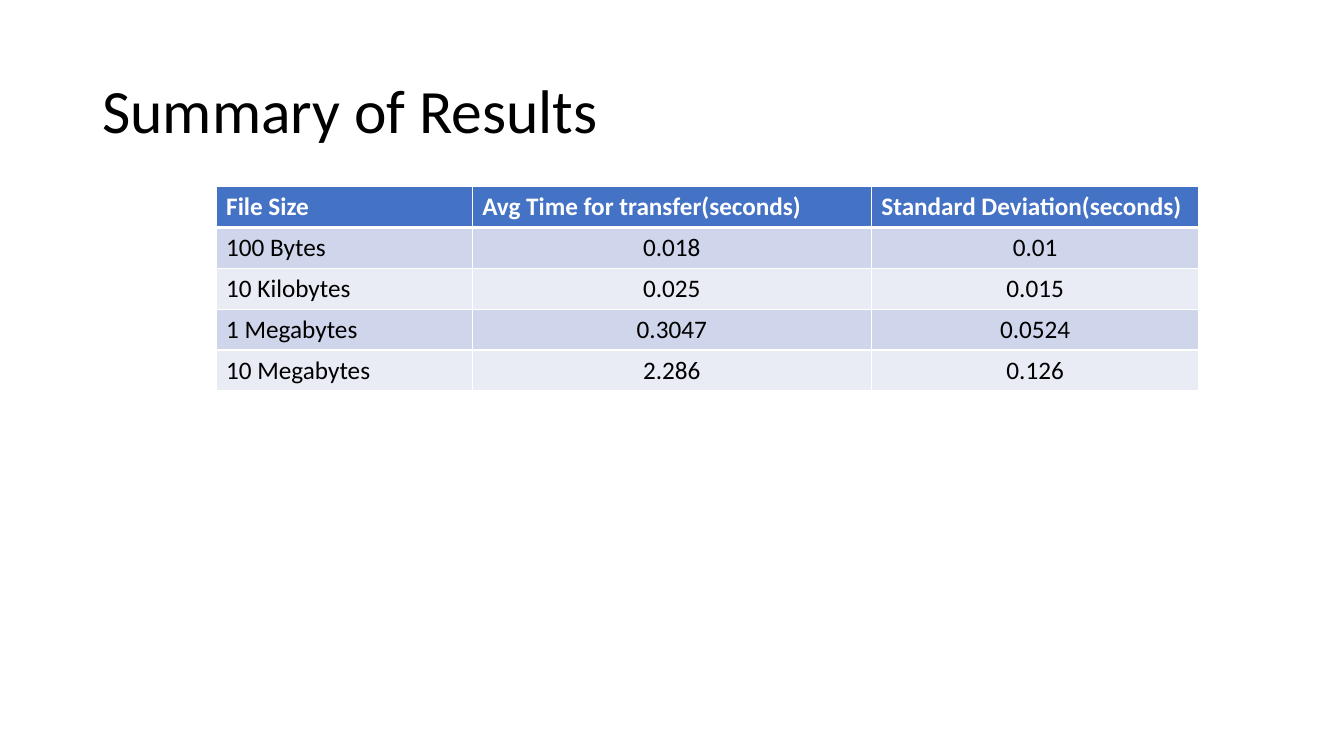
from lxml.etree import SubElement
from pptx import Presentation
from pptx.dml.color import RGBColor
from pptx.enum.text import MSO_ANCHOR as Anchor, PP_ALIGN as Align
from pptx.oxml.ns import qn
from pptx.util import Pt

COLORS = {
    "header": "4472C4",
    "odd_row": "CFD5EA",
    "even_row": "E9EBF5",
    "white": "FFFFFF",
    "black": "000000",
}
FONT = "Calibri"
RESULTS = [
    ("File Size", "Avg Time for transfer(seconds)", "Standard Deviation(seconds)"),
    ("100 Bytes", "0.018", "0.01"),
    ("10 Kilobytes", "0.025", "0.015"),
    ("1 Megabytes", "0.3047", "0.0524"),
    ("10 Megabytes", "2.286", "0.126"),
]
COLUMN_WIDTHS = [182.9, 285.1, 234]
ROW_HEIGHT = 29.2


def color(name):
    """Return the named colour."""
    return RGBColor.from_string(COLORS[name])


def style_text(paragraph, size, color_name, bold=False):
    """Set the font of a whole paragraph."""
    font = paragraph.font
    font.name, font.size, font.bold = FONT, Pt(size), bold
    font.color.rgb = color(color_name)


def add_title(slide, text, left, top, width, height):
    """Add the slide title, centred vertically in its box."""
    frame = slide.shapes.add_textbox(Pt(left), Pt(top), Pt(width), Pt(height)).text_frame
    frame.word_wrap = True
    frame.vertical_anchor = Anchor.MIDDLE
    title = frame.paragraphs[0]
    title.text = text
    title.line_spacing = 0.9
    style_text(title, 44, "black")


def set_borders(cell, **widths):
    """Draw white borders of the given widths, keyed by side."""
    properties = cell._tc.get_or_add_tcPr()
    for side in ("L", "R", "T", "B"):
        line = SubElement(properties, qn(f"a:ln{side}"), w=str(Pt(widths.get(side, 1))))
        fill = SubElement(line, qn("a:solidFill"))
        SubElement(fill, qn("a:srgbClr"), val=COLORS["white"])


def fill_cell(cell, text, row, column):
    """Write and style one cell according to its place in the table."""
    is_header = row == 0
    set_borders(cell, T=3 if row == 1 else 1, B=3 if is_header else 1)
    cell.fill.solid()
    band = "odd_row" if row % 2 else "even_row"
    cell.fill.fore_color.rgb = color("header" if is_header else band)
    paragraph = cell.text_frame.paragraphs[0]
    paragraph.text = text
    paragraph.alignment = Align.LEFT if is_header or column == 0 else Align.CENTER
    style_text(paragraph, 18, "white" if is_header else "black", is_header)


def add_results_table(slide, left, top):
    """Add the table of transfer times."""
    table = slide.shapes.add_table(
        len(RESULTS), len(COLUMN_WIDTHS), Pt(left), Pt(top),
        Pt(sum(COLUMN_WIDTHS)), Pt(ROW_HEIGHT * len(RESULTS)),
    ).table
    for column, width in zip(table.columns, COLUMN_WIDTHS):
        column.width = Pt(width)
    for row, values in enumerate(RESULTS):
        table.rows[row].height = Pt(ROW_HEIGHT)
        for column, text in enumerate(values):
            fill_cell(table.cell(row, column), text, row, column)


def main():
    """Build and save the slide."""
    presentation = Presentation()
    presentation.slide_width, presentation.slide_height = Pt(960), Pt(540)
    slide = presentation.slides.add_slide(presentation.slide_layouts[6])
    add_title(slide, "Summary of Results", 66, 28.75, 828, 104.4)
    add_results_table(slide, 154.4, 133.2)
    presentation.save("out.pptx")


if __name__ == "__main__":
    main()
